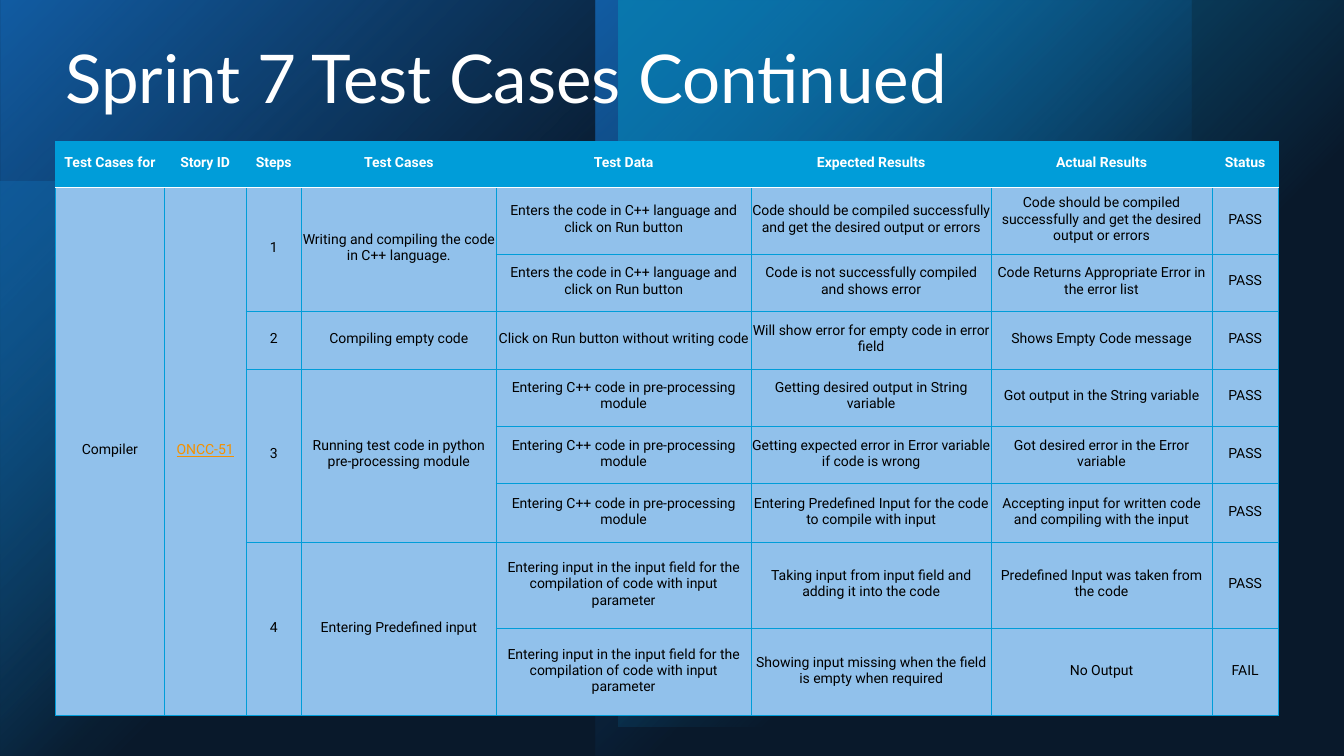
from lxml import etree
from pptx import Presentation
from pptx.dml.color import RGBColor
from pptx.enum.shapes import MSO_SHAPE
from pptx.enum.text import MSO_ANCHOR, PP_ALIGN
from pptx.oxml import parse_xml
from pptx.oxml.ns import nsdecls, qn
from pptx.util import Inches, Pt

RECTANGLE = MSO_SHAPE.RECTANGLE
TOP, MIDDLE = MSO_ANCHOR.TOP, MSO_ANCHOR.MIDDLE
LEFT, CENTER = PP_ALIGN.LEFT, PP_ALIGN.CENTER

BLACK = RGBColor(0x00, 0x00, 0x00)
WHITE = RGBColor(0xFF, 0xFF, 0xFF)
BLUE = RGBColor(0x0F, 0x6F, 0xC6)
CYAN = RGBColor(0x00, 0x9D, 0xD9)
NAVY = RGBColor(0x17, 0x40, 0x6D)
PALE_BLUE = RGBColor(0x91, 0xC1, 0xEB)
ORANGE = RGBColor(0xF4, 0x91, 0x00)

COLUMN_WIDTHS = [1.08, 0.81, 0.55, 1.93, 2.53, 2.38, 2.19, 0.66]
ROW_HEIGHTS = [0.46, 0.66, 0.57, 0.57, 0.57, 0.57, 0.58, 0.86, 0.86]
HEADINGS = ["Test Cases for", "Story ID", "Steps", "Test Cases", "Test Data",
            "Expected Results", "Actual Results", "Status"]
ENTER_CODE = "Enters the code in C++ language and click on Run button"
PREPROCESS = "Entering C++ code in pre-processing module"
ENTER_INPUT = ("Entering input in the input field for the compilation of code "
               "with input parameter")
COMPILED = "Code should be compiled successfully and get the desired output or errors"
STEPS = [
    ("Writing and compiling the code in C++ language.", [
        (ENTER_CODE, COMPILED, COMPILED, "PASS"),
        (ENTER_CODE, "Code is not successfully compiled and shows error",
         "Code Returns Appropriate Error in the error list", "PASS"),
    ]),
    ("Compiling empty code", [
        ("Click on Run button without writing code",
         "Will show error for empty code in error field",
         "Shows Empty Code message", "PASS"),
    ]),
    ("Running test code in python pre-processing module", [
        (PREPROCESS, "Getting desired output in String variable",
         "Got output in the String variable", "PASS"),
        (PREPROCESS, "Getting expected error in Error variable if code is wrong",
         "Got desired error in the Error variable", "PASS"),
        (PREPROCESS, "Entering Predefined Input for the code to compile with input",
         "Accepting input for written code and compiling with the input", "PASS"),
    ]),
    ("Entering Predefined input", [
        (ENTER_INPUT, "Taking input from input field and adding it into the code",
         "Predefined Input was taken from the code", "PASS"),
        (ENTER_INPUT, "Showing input missing when the field is empty when required",
         "No Output", "FAIL"),
    ]),
]


def write_text(frame, text, size=10, font="Roboto", color=BLACK, bold=False,
               underline=False, align=CENTER, spacing=1.0):
    frame.word_wrap = True
    para = frame.paragraphs[0]
    para.alignment = align
    para.line_spacing = spacing
    span = para.add_run()
    span.text = text
    span.font.size = Pt(size)
    span.font.name = font
    span.font.color.rgb = color
    span.font.bold = bold
    span.font.underline = underline


def add_panel(page, left, top, width, height, color):
    panel = page.shapes.add_shape(RECTANGLE, Inches(left), Inches(top),
                                  Inches(width), Inches(height))
    panel.shadow.inherit = False
    panel.line.fill.background()
    panel.fill.solid()
    panel.fill.fore_color.rgb = color
    return panel


def add_glow(page, left, top, width, height, color, opacity=100, rotation=0,
             flips=("flipV",)):
    panel = add_panel(page, left, top, width, height, color)
    panel.rotation = rotation
    properties = panel.element.spPr
    for flip in flips:
        properties.find(qn("a:xfrm")).set(flip, "1")
    gradient = parse_xml(
        f'<a:gradFill {nsdecls("a")} rotWithShape="1"><a:gsLst>'
        f'<a:gs pos="0"><a:srgbClr val="{color}"><a:alpha val="{opacity * 1000}"/>'
        f'</a:srgbClr></a:gs><a:gs pos="60000"><a:srgbClr val="{color}">'
        '<a:alpha val="0"/></a:srgbClr></a:gs></a:gsLst><a:path path="circle">'
        '<a:fillToRect r="100000" b="100000"/></a:path></a:gradFill>')
    properties.replace(properties.find(qn("a:solidFill")), gradient)


def add_backdrop(page):
    page.background.fill.solid()
    page.background.fill.fore_color.rgb = BLACK
    add_glow(page, 0, 1.8, 5.71, 5.71, CYAN, opacity=60)
    add_glow(page, 0, 0, 5.91, 7.5, BLUE, rotation=180)
    add_glow(page, 5.91, 0, 5.91, 7.5, BLUE, rotation=180, flips=("flipH", "flipV"))
    add_glow(page, 6.13, 0, 7.21, 7.21, CYAN, rotation=180)
    veil = add_panel(page, 0, 0, 13.33, 7.5, NAVY)
    tint = veil.element.spPr.find(qn("a:solidFill"))[0]
    etree.SubElement(tint, qn("a:alpha")).set("val", "40000")


def add_borders(cell, bottom_color=CYAN, bottom_width=0.5):
    properties = cell._tc.get_or_add_tcPr()
    sides = [("lnL", CYAN, 0.5), ("lnR", CYAN, 0.5), ("lnT", CYAN, 0.5),
             ("lnB", bottom_color, bottom_width)]
    for position, (side, color, width) in enumerate(sides):
        properties.insert(position, parse_xml(
            f'<a:{side} {nsdecls("a")} w="{Pt(width)}"><a:solidFill>'
            f'<a:srgbClr val="{color}"/></a:solidFill></a:{side}>'))


def style_cell(cell, is_heading, below_heading):
    cell.fill.solid()
    cell.fill.fore_color.rgb = CYAN if is_heading else PALE_BLUE
    cell.vertical_anchor = MIDDLE
    cell.margin_left = cell.margin_right = cell.margin_top = Inches(0.01)
    cell.margin_bottom = Inches(0.04)
    if is_heading:
        add_borders(cell, WHITE, 1)
    else:
        add_borders(cell)
    if below_heading:
        top_line = cell._tc.tcPr.find(qn("a:lnT"))
        top_line.set("w", str(Pt(1)))
        top_line.find(qn("a:solidFill"))[0].set("val", str(WHITE))


def fill_span(table, row, column, count, text, **style):
    cell = table.cell(row, column)
    if count > 1:
        cell.merge(table.cell(row + count - 1, column))
    write_text(cell.text_frame, text, **style)


def add_test_table(page):
    frame = page.shapes.add_table(
        len(ROW_HEIGHTS), len(COLUMN_WIDTHS), Inches(0.55), Inches(1.4),
        Inches(sum(COLUMN_WIDTHS)), Inches(sum(ROW_HEIGHTS)))
    table = frame.table
    table.horz_banding = False
    for column, width in zip(table.columns, COLUMN_WIDTHS):
        column.width = Inches(width)
    for index, (row, height) in enumerate(zip(table.rows, ROW_HEIGHTS)):
        row.height = Inches(height)
        for cell in row.cells:
            style_cell(cell, index == 0, index == 1)
    for column, heading in enumerate(HEADINGS):
        fill_span(table, 0, column, 1, heading, color=WHITE, bold=True)
    case_count = len(ROW_HEIGHTS) - 1
    fill_span(table, 1, 0, case_count, "Compiler")
    fill_span(table, 1, 1, case_count, "ONCC-51", color=ORANGE, underline=True)
    row = 1
    for number, (test_case, results) in enumerate(STEPS, 1):
        fill_span(table, row, 2, len(results), str(number))
        fill_span(table, row, 3, len(results), test_case)
        for result in results:
            for column, text in enumerate(result, 4):
                fill_span(table, row, column, 1, text)
            row += 1


def add_title(page, text):
    box = page.shapes.add_textbox(Inches(0.55), Inches(0.4), Inches(12.14), Inches(0.99))
    box.text_frame.vertical_anchor = TOP
    write_text(box.text_frame, text, size=48, font="Lato", color=WHITE,
               align=LEFT, spacing=0.9)


def main():
    deck = Presentation()
    deck.slide_width, deck.slide_height = Inches(13.33), Inches(7.5)
    page = deck.slides.add_slide(deck.slide_layouts[6])
    add_backdrop(page)
    add_test_table(page)
    add_title(page, "Sprint 7 Test Cases Continued")
    deck.save("out.pptx")


if __name__ == "__main__":
    main()
